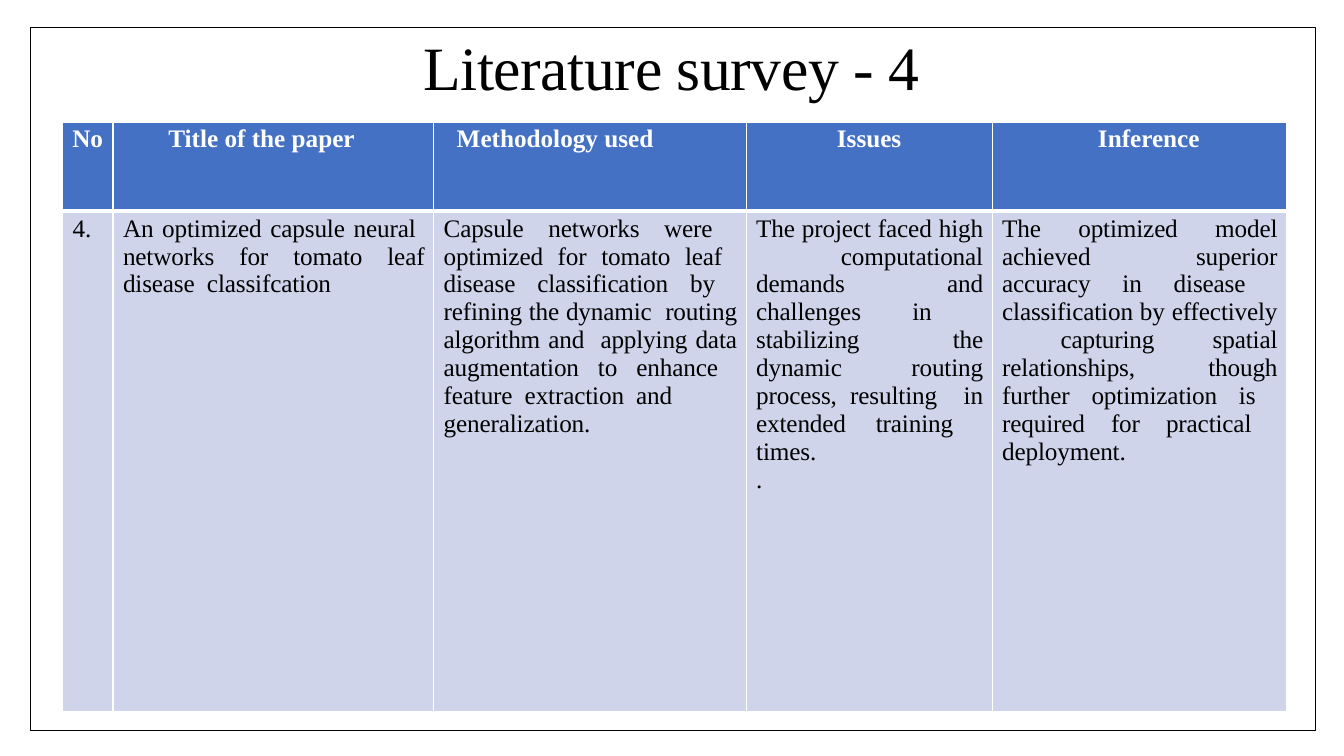
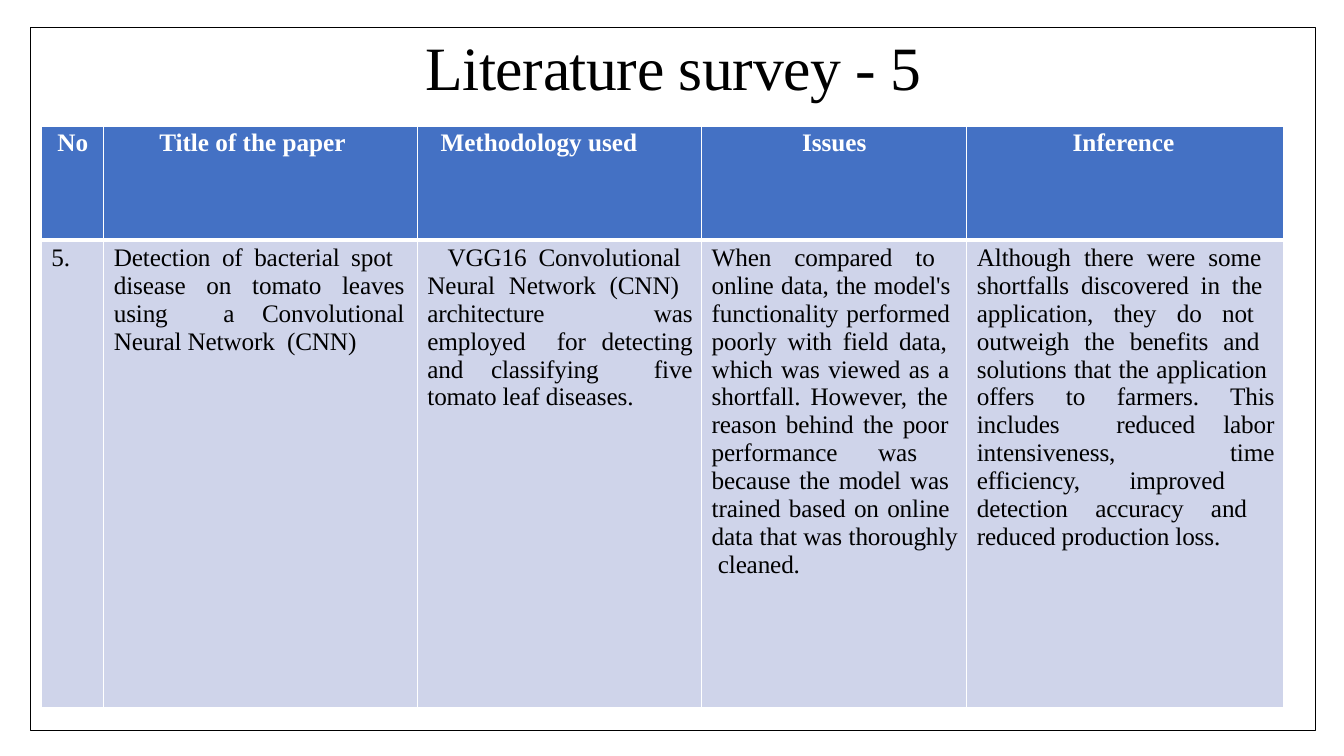
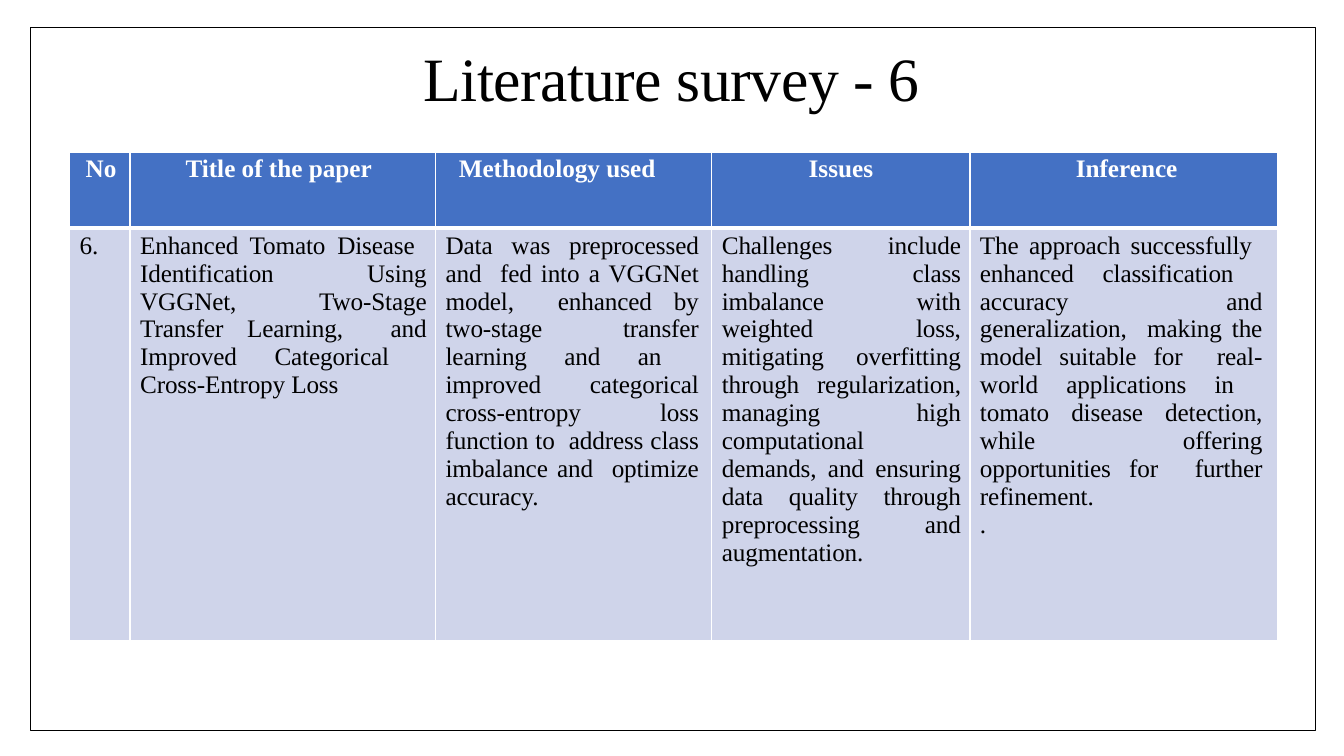
from pptx import Presentation
from pptx.dml.color import RGBColor
from pptx.enum.shapes import MSO_SHAPE
from pptx.enum.text import MSO_ANCHOR, PP_ALIGN
from pptx.oxml.ns import qn
from pptx.util import Inches, Pt
from lxml.etree import SubElement

COLORS = {"ink": "000000", "paper": "FFFFFF", "head": "4471C4", "body": "CFD4EA"}
FONT = "Times New Roman"
FRAME = (0.3, 0.27, 12.75, 6.98)

# Header labels with their left indent; None centres the label
HEADERS = [("No", 0.16), ("Title of the paper", 0.55), ("Methodology used", 0.23),
           ("Issues", None), ("Inference", 1.05)]

# One entry per slide: boxes are left, top, width, height
SURVEYS = [
    {
        "number": 4,
        "title_box": (1.04, 0.27, 11.24, 0.75),
        "table_box": (0.62, 1.21, 12.14, 5.85),
        "cols": [0.5, 3.18, 3.1, 2.44, 2.92],
        "head_height": 0.88,
        "number_indent": None,
        "right": {},
        "first_indent": {},
        "cells": [
            "An optimized capsule neural  networks for tomato leaf disease  classifcation",
            "Capsule networks were  optimized for tomato leaf  disease classification by  "
            "refining the dynamic  routing algorithm and  applying data augmentation to "
            "enhance  feature  extraction  and\ngeneralization.",
            "The project faced high  computational demands  and challenges in  stabilizing "
            "the dynamic  routing process, resulting  in extended training  times.\n.",
            "The optimized model achieved  superior accuracy in disease  classification by "
            "effectively  capturing spatial relationships,  though further optimization is  "
            "required for practical  deployment.",
        ],
    },
    {
        "number": 5,
        "title_box": (0.44, 0.27, 12.48, 0.76),
        "table_box": (0.41, 1.25, 12.32, 5.77),
        "cols": [0.62, 3.11, 2.82, 2.63, 3.14],
        "head_height": 1.13,
        "number_indent": 0.16,
        "right": {1: 0.13},
        "first_indent": {2: 0.2},
        "cells": [
            "Detection of bacterial spot  disease on tomato leaves using  a Convolutional "
            "Neural Network  (CNN)",
            "VGG16 Convolutional  Neural Network (CNN)  architecture was employed  for "
            "detecting and classifying  five tomato leaf diseases.",
            "When compared to  online data, the model's  functionality performed  poorly with "
            "field data,  which was viewed as a  shortfall. However, the  reason behind the "
            "poor  performance was  because the model was  trained based on online  data "
            "that was thoroughly  cleaned.",
            "Although there were some  shortfalls discovered in the  application, they do not  "
            "outweigh the benefits and  solutions that the application  offers to farmers. "
            "This includes  reduced labor intensiveness,  time efficiency, improved  detection "
            "accuracy and  reduced production loss.",
        ],
    },
    {
        "number": 6,
        "title_box": (0.78, 0.38, 11.76, 0.76),
        "table_box": (0.69, 1.51, 11.97, 4.85),
        "cols": [0.6, 3.03, 2.74, 2.56, 3.05],
        "head_height": 0.75,
        "number_indent": 0.16,
        "right": {2: 0.13, 4: 0.15},
        "first_indent": {},
        "cells": [
            "Enhanced Tomato Disease  Identification Using VGGNet,  Two-Stage Transfer "
            "Learning,  and Improved Categorical  Cross-Entropy Loss",
            "Data was preprocessed and  fed into a VGGNet model,  enhanced by two-stage  "
            "transfer learning and an  improved categorical cross-entropy loss function to  "
            "address class imbalance and  optimize accuracy.",
            "Challenges include handling class imbalance with weighted loss, mitigating "
            "overfitting through regularization, managing high computational demands, and "
            "ensuring data quality through preprocessing and augmentation.",
            "The approach successfully  enhanced classification  accuracy and generalization,  "
            "making the model suitable for  real-world applications in  tomato disease "
            "detection, while  offering opportunities for  further refinement.\n.",
        ],
    },
]


def rgb(name):
    return RGBColor.from_string(COLORS[name])


def inches(box):
    return [Inches(v) for v in box]


def style(p, size, color, align, before, bold=False, spacing=0):
    """Format a paragraph and its runs; spacing is in points."""
    p.alignment = align
    p.space_before = Pt(before)
    for r in p.runs:
        r.font.name = FONT
        r.font.size = Pt(size)
        r.font.bold = bold
        r.font.color.rgb = rgb(color)
        r.font._element.set("spc", str(round(spacing * 100)))


def set_borders(cell, widths):
    """Draw white borders; lines must come before the fill in the cell."""
    tc_pr = cell._tc.get_or_add_tcPr()
    for side, width in zip("LRTB", widths):
        ln = SubElement(tc_pr, qn(f"a:ln{side}"), w=str(Pt(width)))
        fill = SubElement(ln, qn("a:solidFill"))
        SubElement(fill, qn("a:srgbClr"), val=COLORS["paper"])


def fill_cell(cell, text, fill, borders, left, right, top):
    set_borders(cell, borders)
    cell.fill.solid()
    cell.fill.fore_color.rgb = rgb(fill)
    cell.margin_left, cell.margin_right = Inches(left), Inches(right)
    cell.margin_top, cell.margin_bottom = Inches(top), 0
    cell.text_frame.text = text
    return cell.text_frame.paragraphs


def add_title(slide, text, box):
    tf = slide.shapes.add_textbox(*inches(box)).text_frame
    tf.word_wrap = True
    tf.vertical_anchor = MSO_ANCHOR.MIDDLE
    tf.margin_left = tf.margin_right = tf.margin_bottom = 0
    tf.margin_top = Inches(0.01)
    tf.text = text
    style(tf.paragraphs[0], 44, "ink", PP_ALIGN.CENTER, 0.9, spacing=-0.3)


def add_frame(slide):
    sp = slide.shapes.add_shape(MSO_SHAPE.RECTANGLE, *inches(FRAME))
    sp.shadow.inherit = False
    sp.fill.background()
    sp.line.color.rgb = rgb("ink")
    sp.line.width = Pt(1)


def add_survey_table(slide, survey):
    box = survey["table_box"]
    table = slide.shapes.add_table(2, len(HEADERS), *inches(box)).table
    for column, width in zip(table.columns, survey["cols"]):
        column.width = Inches(width)
    table.rows[0].height = Inches(survey["head_height"])
    table.rows[1].height = Inches(box[3] - survey["head_height"])

    # Header row
    for col, (label, indent) in enumerate(HEADERS):
        if col == 0:
            indent = survey["number_indent"]
        align = PP_ALIGN.CENTER if indent is None else PP_ALIGN.LEFT
        p, = fill_cell(table.cell(0, col), label, "head", (1, 1, 1, 3), indent or 0, 0, 0.03)
        style(p, 18, "paper", align, 2.2, bold=True)

    # Paper row
    for col, text in enumerate([f"{survey['number']}."] + survey["cells"]):
        right = survey["right"].get(col, 0.09)
        paragraphs = fill_cell(table.cell(1, col), text, "body", (1, 1, 3, 1), 0.1, right, 0.04)
        for i, p in enumerate(paragraphs):
            style(p, 18, "ink", PP_ALIGN.JUSTIFY, 0.1 if i else 3, spacing=-0.1)
        if col in survey["first_indent"]:
            p_pr = paragraphs[0]._p.get_or_add_pPr()
            p_pr.set("indent", str(Inches(survey["first_indent"][col])))


def add_survey_slide(prs, survey):
    slide = prs.slides.add_slide(prs.slide_layouts[6])
    add_title(slide, f"Literature survey - {survey['number']}", survey["title_box"])
    add_survey_table(slide, survey)
    add_frame(slide)


def main():
    prs = Presentation()
    prs.slide_width, prs.slide_height = Inches(13.33), Inches(7.5)
    for survey in SURVEYS:
        add_survey_slide(prs, survey)
    prs.save("out.pptx")


if __name__ == "__main__":
    main()
